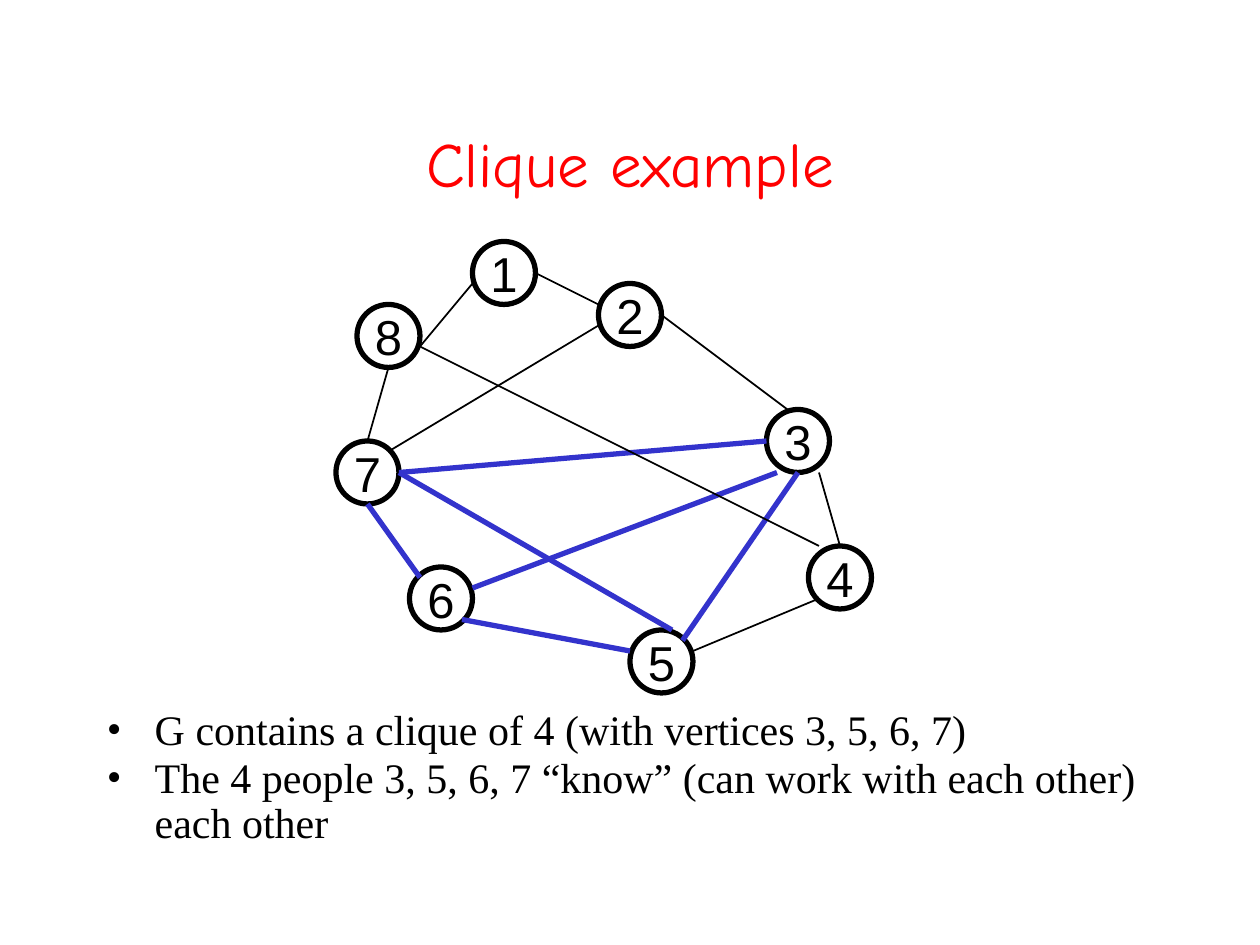
"""Build the clique example slide: a graph of eight vertices with one clique marked."""
from lxml.etree import SubElement
from pptx import Presentation
from pptx.dml.color import RGBColor
from pptx.enum.shapes import MSO_CONNECTOR, MSO_SHAPE
from pptx.enum.text import MSO_ANCHOR, PP_ALIGN
from pptx.oxml.ns import qn
from pptx.util import Inches, Pt

BLACK = RGBColor(0, 0, 0)
RED = RGBColor(255, 0, 0)
BLUE = RGBColor(0x33, 0x33, 0xCC)
UNIT = Inches(1) // 12
SIDE = 6 * UNIT


def style(para, face, size, color):
    for run in para.runs:
        run.font.name = face
        run.font.size = Pt(size)
        run.font.color.rgb = color


deck = Presentation()
deck.slide_width, deck.slide_height = 120 * UNIT, 90 * UNIT
slide = deck.slides.add_slide(deck.slide_layouts[6])
shapes = slide.shapes

title = shapes.add_textbox(9 * UNIT, 8 * UNIT, 102 * UNIT, 15 * UNIT).text_frame
title.word_wrap = True
title.vertical_anchor = MSO_ANCHOR.MIDDLE
title.text = "Clique example"
title.paragraphs[0].alignment = PP_ALIGN.CENTER
style(title.paragraphs[0], "Comic Neue", 36, RED)

notes = [
    "G contains a clique of 4 (with vertices 3, 5, 6, 7)",
    "The 4 people 3, 5, 6, 7 “know” (can work with each other) each other",
]
body = shapes.add_textbox(9 * UNIT, 67 * UNIT, 102 * UNIT, 13 * UNIT).text_frame
body.word_wrap = True
body.text = "\n".join(notes)
for row, para in enumerate(body.paragraphs):
    props = para._p.get_or_add_pPr()
    props.set("marL", str(Inches(0.38)))
    props.set("indent", str(-Inches(0.38)))
    SubElement(props, qn("a:buFont"), typeface="Times New Roman")
    SubElement(props, qn("a:buChar"), char="•")
    para.line_spacing = 0.9
    para.space_before = Pt(1.2 * min(row, 1))
    style(para, "Times New Roman", 24, BLACK)

nodes = {
    8: (34, 29), 4: (77, 52), 1: (45, 23), 7: (32, 42),
    6: (39, 54), 5: (60, 60), 3: (73, 39), 2: (57, 27),
}
for name, (col, row) in nodes.items():
    node = shapes.add_shape(MSO_SHAPE.OVAL, col * UNIT, row * UNIT, SIDE, SIDE)
    node.shadow.inherit = False
    node.fill.background()
    node.line.color.rgb = BLACK
    node.line.width = Pt(3)
    frame = node.text_frame
    frame.word_wrap = False
    frame.vertical_anchor = MSO_ANCHOR.MIDDLE
    frame.text = str(name)
    frame.paragraphs[0].alignment = PP_ALIGN.CENTER
    style(frame.paragraphs[0], "Arial", 28, BLACK)

clique = [
    (38, 45, 73, 42), (44, 59, 60, 62), (35, 48, 40, 55),
    (76, 45, 65, 61), (38, 45, 64, 60), (74, 45, 45, 56),
]
others = [
    (78, 45, 80, 52), (78, 57, 66, 62), (37, 35, 35, 42), (40, 33, 45, 27),
    (51, 26, 57, 29), (63, 30, 75, 39), (40, 33, 78, 52), (57, 31, 37, 43),
]
for edges, color, width in ((clique, BLUE, 3), (others, BLACK, 1)):
    for ends in edges:
        edge = shapes.add_connector(MSO_CONNECTOR.STRAIGHT, *(n * UNIT for n in ends))
        edge.line.color.rgb = color
        edge.line.width = Pt(width)
        SubElement(edge._element.spPr, qn("a:effectLst"))

deck.save("out.pptx")
